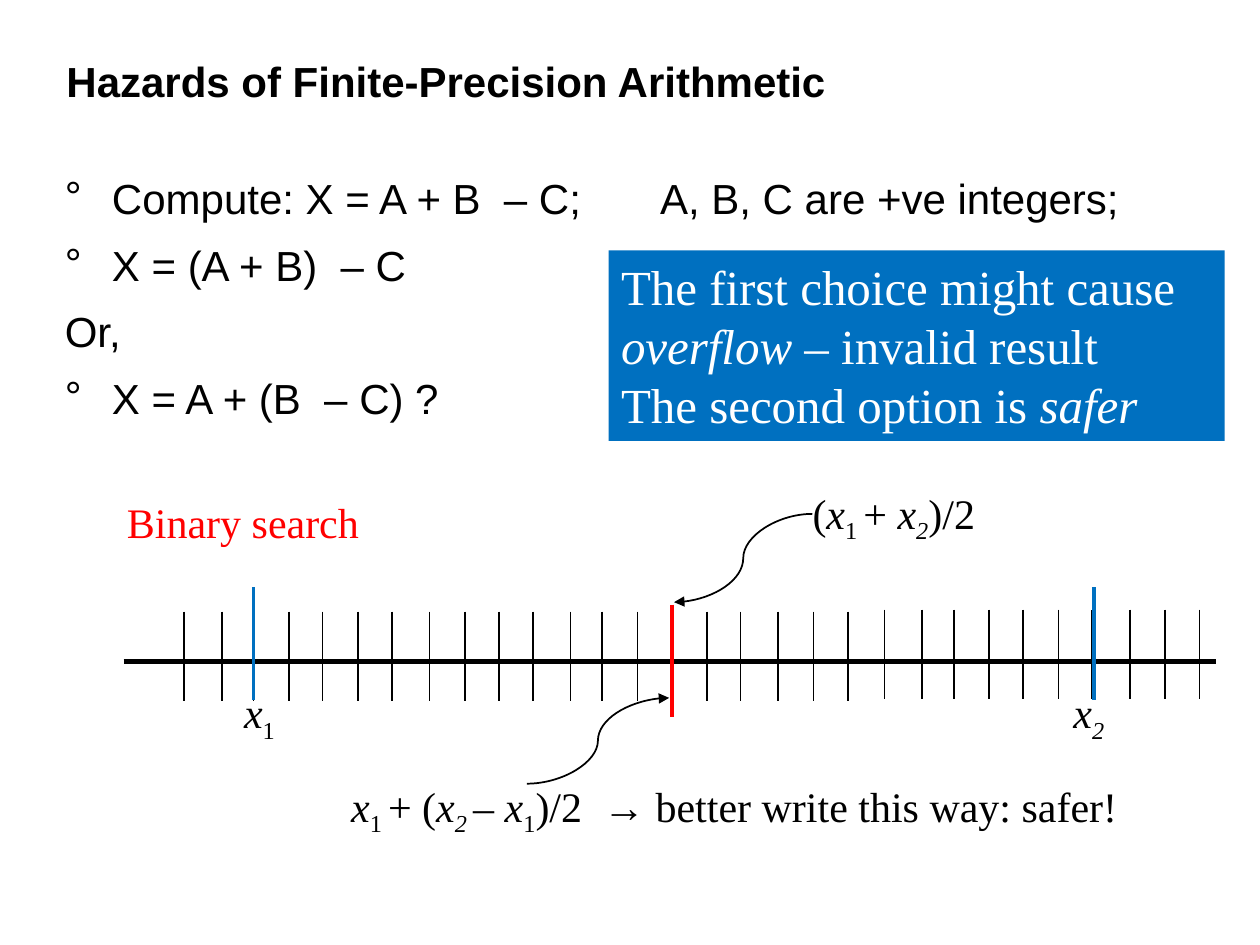
"""Build the slide on hazards of finite-precision arithmetic."""
from typing import NamedTuple

import pptx
import pptx.dml.color
import pptx.enum.shapes
import pptx.enum.text
import pptx.oxml
import pptx.oxml.ns
import pptx.util
from pptx.util import Cm

BLACK, WHITE, RED, BLUE = "000000", "FFFFFF", "FF0000", "0070C0"
SERIF, SANS = "Times New Roman", "Arial"
CONN = pptx.enum.shapes.MSO_CONNECTOR
SHAPE = pptx.enum.shapes.MSO_SHAPE
ANCHOR = pptx.enum.text.MSO_ANCHOR
NS = pptx.oxml.ns.nsdecls("a")


class Run(NamedTuple):
    text: str
    italic: bool = False
    sub: bool = False


class Label(NamedTuple):
    box: tuple[float, float, float, float]
    paras: list[list[Run]]
    font: str = SERIF
    size: int = 24
    color: str = BLACK
    bold: bool = False
    fill: str = ""
    anchor: ANCHOR = ANCHOR.TOP
    spacing: float = 1.0


class Line(NamedTuple):
    start: tuple[float, float]
    end: tuple[float, float]
    color: str = BLACK
    width: float = 1
    curved: bool = False


def rgb(value: str) -> pptx.dml.color.RGBColor:
    return pptx.dml.color.RGBColor.from_string(value)


def xml(text: str):
    return pptx.oxml.parse_xml(text)


def write(sp, label: Label) -> None:
    tf = sp.text_frame
    tf.word_wrap = True
    tf.vertical_anchor = label.anchor
    for i, runs in enumerate(label.paras):
        p = tf.paragraphs[0] if i == 0 else tf.add_paragraph()
        p.alignment = pptx.enum.text.PP_ALIGN.LEFT
        p.line_spacing = label.spacing
        for run in runs:
            r = p.add_run()
            r.text = run.text
            r.font.name = label.font
            r.font.size = pptx.util.Pt(label.size)
            r.font.bold = label.bold
            r.font.italic = run.italic
            r.font.color.rgb = rgb(label.color)
            if run.sub:
                r.font._element.set("baseline", "-25000")


def add_label(s, label: Label) -> None:
    box = [Cm(v) for v in label.box]
    if label.fill:
        sp = s.shapes.add_shape(SHAPE.RECTANGLE, *box)
        sp.shadow.inherit = False
        sp.fill.solid()
        sp.fill.fore_color.rgb = rgb(label.fill)
        sp.line.fill.background()
    else:
        sp = s.shapes.add_textbox(*box)
    write(sp, label)


def add_body(s, label: Label, bulleted: list[bool]) -> None:
    sp = s.shapes.add_shape(SHAPE.ROUNDED_RECTANGLE, *[Cm(v) for v in label.box])
    sp.adjustments[0] = 0.125
    sp.shadow.inherit = False
    sp.fill.background()
    sp.line.fill.background()
    write(sp, label)
    for p, bullet in zip(sp.text_frame.paragraphs, bulleted):
        p.space_before = pptx.util.Pt(16.4)
        pPr = p._p.get_or_add_pPr()
        if bullet:
            pPr.set("marL", str(Cm(0.95)))
            pPr.set("indent", str(-Cm(0.95)))
            pPr.append(xml(f'<a:buFont {NS} typeface="{SANS}"/>'))
            pPr.append(xml(f'<a:buChar {NS} char="°"/>'))
        pPr.append(xml(f'<a:tabLst {NS}><a:tab pos="{Cm(12)}" algn="l"/></a:tabLst>'))


def add_line(s, line: Line) -> None:
    kind = CONN.CURVE if line.curved else CONN.STRAIGHT
    sp = s.shapes.add_connector(kind, *[Cm(v) for v in line.start + line.end])
    sp.line.color.rgb = rgb(line.color)
    sp.line.width = pptx.util.Pt(line.width)
    if line.curved:
        sp.line._get_or_add_ln().append(xml(f'<a:tailEnd {NS} type="triangle"/>'))
    sp._element.spPr.append(xml(f"<a:effectLst {NS}/>"))


def var(index: str, italic: bool = False) -> list[Run]:
    return [Run("x", True), Run(index, italic, True)]


BODY = Label((0.64, 3.18, 23.29, 11.43), [
    [Run("Compute: X = A + B  – C;\tA, B, C are +ve integers;")],
    [Run("X = (A + B)  – C")],
    [Run("Or,")],
    [Run("X = A + (B  – C) ?")],
], font=SANS, spacing=0.75)

LABELS = [
    Label((1.09, 0.86, 21.16, 1.7), [[Run("Hazards of Finite-Precision Arithmetic")]],
          font=SANS, bold=True, anchor=ANCHOR.MIDDLE, spacing=0.87),
    Label((12.27, 5.05, 12.42, 3.84), [
        [Run("The first choice might cause")],
        [Run("overflow", True), Run(" – invalid result")],
        [Run("The second option is "), Run("safer", True)],
    ], size=28, color=WHITE, fill=BLUE),
    Label((4.67, 13.72, 1.6, 1.27), [var("1")]),
    Label((21.39, 13.72, 1.6, 1.27), [var("2", True)]),
    Label((16.13, 9.7, 5.2, 1.27),
          [[Run("("), *var("1 "), Run("+ "), *var("2", True), Run(")/2")]]),
    Label((2.31, 9.88, 5.44, 1.27), [[Run("Binary search")]], color=RED),
    Label((6.83, 15.6, 17.35, 1.27),
          [[*var("1 "), Run("+ ("), *var("2 ", True), Run("– ", True), *var("1"),
            Run(")/2  → better write this way: safer!")]]),
]

TICK_OFFSETS = [0, 0.76, 1.4, 2.11, 2.79, 3.51, 4.19, 4.95, 5.66, 6.35]
TICK_GROUPS = [(3.71, 12.33), (10.74, 12.33), (17.83, 12.29)]
TICK_HEIGHT = 1.8

LINES = [
    Line((2.49, 13.34), (24.51, 13.34), width=3),
    *[Line((left + dx, top), (left + dx, top + TICK_HEIGHT))
      for left, top in TICK_GROUPS for dx in TICK_OFFSETS],
    Line((13.54, 12.19), (13.54, 14.45), RED, 2.25),
    *[Line((x, 11.84), (x, 14.12), BLUE, 2.25) for x in (5.11, 22.05)],
    Line((16.38, 10.36), (13.59, 12.14), curved=True),
    Line((10.62, 15.8), (13.49, 14.07), curved=True),
]


def main() -> None:
    prs = pptx.Presentation()
    prs.slide_width, prs.slide_height = Cm(25.4), Cm(19.05)
    s = prs.slides.add_slide(prs.slide_layouts[6])
    add_body(s, BODY, [True, True, False, True])
    for label in LABELS:
        add_label(s, label)
    for line in LINES:
        add_line(s, line)
    prs.save("out.pptx")


if __name__ == "__main__":
    main()
